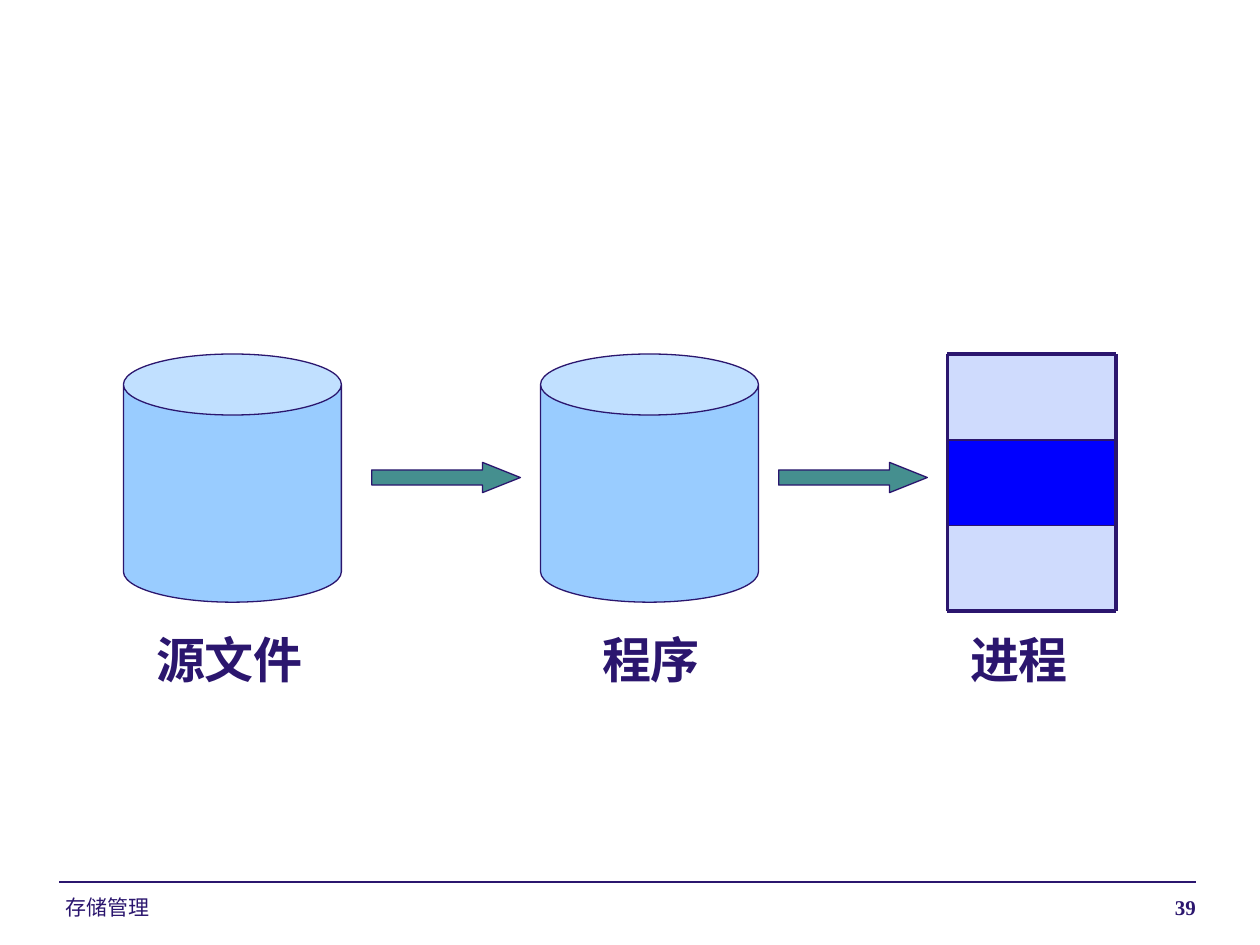
"""Build the slide that shows a source file becoming a program and a process."""
from lxml.etree import SubElement
from pptx import Presentation
from pptx.dml.color import RGBColor
from pptx.enum.shapes import MSO_CONNECTOR, MSO_SHAPE
from pptx.enum.text import PP_ALIGN
from pptx.oxml.ns import qn
from pptx.util import Inches, Pt

INK = RGBColor(0x2B, 0x16, 0x6E)
SKY = RGBColor(0x99, 0xCC, 0xFF)
TEAL = RGBColor(0x45, 0x8F, 0x8F)
PALE = RGBColor(0xCF, 0xDB, 0xFD)
BLUE = RGBColor(0, 0, 255)
HAN = "Noto Sans CJK SC"

HEAD = {"name": HAN, "size": Pt(28), "bold": True}
FOOT = {"name": "Arial", "size": Pt(12), "bold": False}
PAGE = {"name": "Times New Roman", "size": Pt(12), "bold": True}

TEXTS = [
    ("源文件", (1.14, 4.95, 1.37, 0.57), HEAD, PP_ALIGN.LEFT, False),
    ("程序", (4.68, 4.95, 0.98, 0.57), HEAD, PP_ALIGN.LEFT, False),
    ("进程", (7.6, 4.95, 0.98, 0.57), HEAD, PP_ALIGN.LEFT, False),
    ("存储管理", (0.42, 7.05, 2.33, 0.24), FOOT, PP_ALIGN.LEFT, True),
    ("39", (6.42, 7.05, 3.17, 0.24), PAGE, PP_ALIGN.RIGHT, True),
]
CANS = [0.98, 4.29]
ARROWS = [2.95, 6.18]
CELLS = [PALE, BLUE, PALE]
TOP, LEFT, WIDE, HIGH = 2.81, 7.52, 1.34, 0.68


def add_form(slide, kind, box, fill, edge=None, adjust=()):
    form = slide.shapes.add_shape(kind, *map(Inches, box))
    form.shadow.inherit = False
    form.fill.solid()
    form.fill.fore_color.rgb = fill
    if edge:
        form.line.color.rgb = INK
        form.line.width = Pt(edge)
    else:
        form.line.fill.background()
    for spot, value in enumerate(adjust):
        form.adjustments[spot] = value


def add_rule(slide, ends, width):
    rule = slide.shapes.add_connector(MSO_CONNECTOR.STRAIGHT, *map(Inches, ends))
    rule.line.color.rgb = INK
    rule.line.width = Pt(width)
    SubElement(rule._element.spPr, qn("a:effectLst"))


def add_text(slide, text, box, style, align, wrap):
    frame = slide.shapes.add_textbox(*map(Inches, box)).text_frame
    frame.word_wrap = wrap
    para = frame.paragraphs[0]
    para.alignment = align
    run = para.add_run()
    run.text = text
    for key, value in style.items():
        setattr(run.font, key, value)
    run.font.color.rgb = INK
    SubElement(run._r.get_or_add_rPr(), qn("a:ea"), typeface=HAN)


def main():
    deck = Presentation()
    deck.slide_width, deck.slide_height = Inches(10), Inches(7.5)
    slide = deck.slides.add_slide(deck.slide_layouts[6])
    add_rule(slide, (0.47, 7, 9.49, 7), 0.75)
    for left in CANS:
        add_form(slide, MSO_SHAPE.CAN, (left, TOP, 1.73, 1.97), SKY, 0.75, [0.28])
    for left in ARROWS:
        box = (left, 3.67, 1.18, 0.24)
        add_form(slide, MSO_SHAPE.RIGHT_ARROW, box, TEAL, 0.75, [0.5, 1.25])
    for row, fill in enumerate(CELLS):
        box = (LEFT, TOP + row * HIGH, WIDE, HIGH)
        add_form(slide, MSO_SHAPE.RECTANGLE, box, fill)
    right, base = LEFT + WIDE, TOP + len(CELLS) * HIGH
    for row in range(len(CELLS) + 1):
        y = TOP + row * HIGH
        add_rule(slide, (LEFT, y, right, y), 2.25 if row in (0, len(CELLS)) else 1)
    for x in (LEFT, right):
        add_rule(slide, (x, TOP, x, base), 2.25)
    for item in TEXTS:
        add_text(slide, *item)
    deck.save("out.pptx")


if __name__ == "__main__":
    main()
